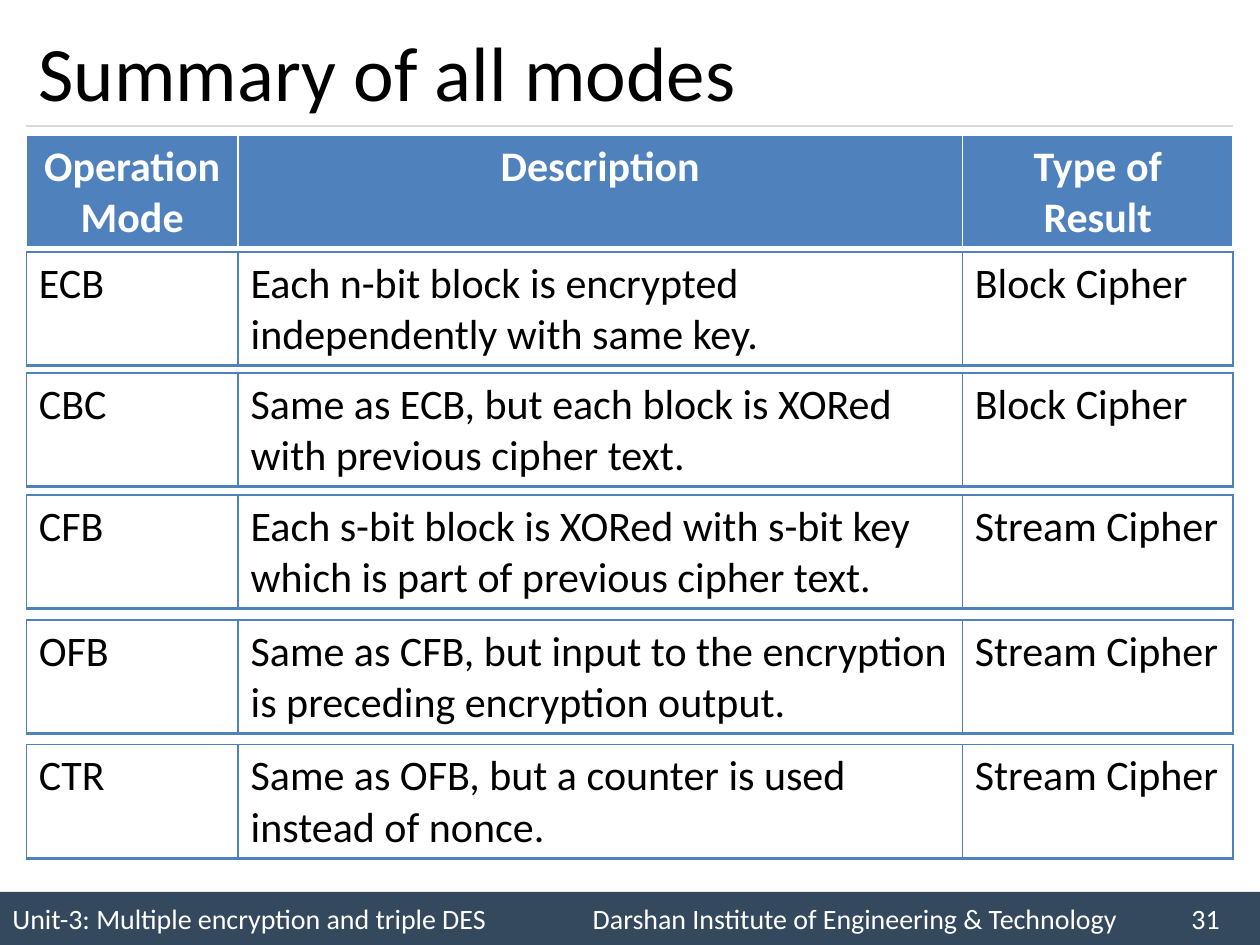
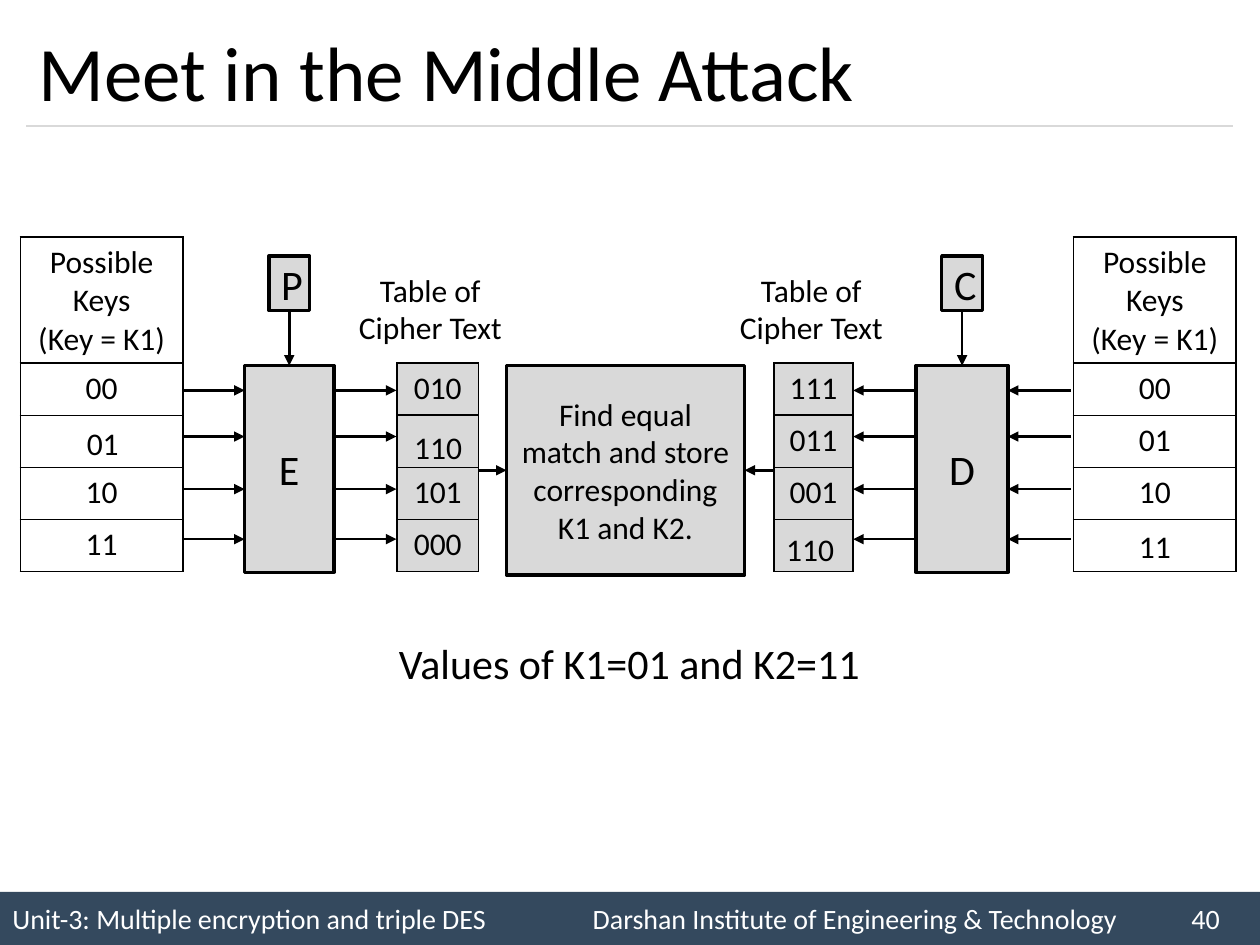
from lxml import etree
from pptx import Presentation
from pptx.dml.color import RGBColor
from pptx.enum import shapes, text
from pptx.oxml import ns
from pptx.util import Cm, Pt

WHITE = RGBColor(0xFF, 0xFF, 0xFF)
BLACK = RGBColor(0, 0, 0)
NAVY = RGBColor(0x34, 0x49, 0x5E)
BLUE = RGBColor(0x4F, 0x81, 0xBD)
GREY = RGBColor(0xD9, 0xD9, 0xD9)

LEFT = text.PP_ALIGN.LEFT
CENTER = text.PP_ALIGN.CENTER
MIDDLE = text.MSO_ANCHOR.MIDDLE
TOP = text.MSO_ANCHOR.TOP
RULE_LEFT, RULE_WIDTH = 0.53, 24.33


def add_xml(parent, tag, **attributes):
    return etree.SubElement(parent, ns.qn(tag), attributes)


def apply_format(target, values):
    for name, value in values.items():
        setattr(target, name, value)


class Deck:
    def __init__(self):
        self.presentation = Presentation()
        apply_format(self.presentation,
                     {"slide_width": Cm(25.4), "slide_height": Cm(19.05)})
        self.slide = None

    def start_slide(self, heading, number):
        self.slide = self.presentation.slides.add_slide(
            self.presentation.slide_layouts[6])
        self.footer(number)
        self.line((RULE_LEFT, 2.54), (RULE_LEFT + RULE_WIDTH, 2.54),
                  color=GREY, width=0.75, arrow=False)
        self.label(heading, (RULE_LEFT, 0.3, RULE_WIDTH, 2.24),
                   size=44, align=LEFT, anchor=MIDDLE)

    def set_words(self, frame, words, size=18, color=BLACK, bold=False,
                  align=CENTER, tabs=()):
        frame.text = words
        for paragraph in frame.paragraphs:
            if tabs:
                stops = add_xml(paragraph._p.get_or_add_pPr(), "a:tabLst")
                for stop in tabs:
                    add_xml(stops, "a:tab", pos=str(Cm(stop)), algn="l")
            paragraph.alignment = align
            apply_format(paragraph.font,
                         {"name": "Calibri", "size": Pt(size), "bold": bold})
            paragraph.font.color.rgb = color

    def label(self, words, place, size=18, align=CENTER, anchor=TOP, wrap=True):
        frame = self.slide.shapes.add_textbox(*map(Cm, place)).text_frame
        apply_format(frame, {"word_wrap": wrap, "vertical_anchor": anchor})
        self.set_words(frame, words, size, align=align)

    def box(self, words, place, fill=GREY, outlined=True, **style):
        box = self.slide.shapes.add_shape(
            shapes.MSO_SHAPE.RECTANGLE, *map(Cm, place))
        box.shadow.inherit = False
        box.fill.solid()
        box.fill.fore_color.rgb = fill
        if outlined:
            box.line.color.rgb = BLACK
            box.line.width = Pt(2)
        else:
            box.line.fill.background()
        apply_format(box.text_frame, {"word_wrap": True, "vertical_anchor": MIDDLE})
        self.set_words(box.text_frame, words, **style)
        return box

    def footer(self, number):
        parts = ("Unit-3: Multiple encryption and triple DES",
                 "Darshan Institute of Engineering & Technology", str(number))
        self.box("\t".join(parts), (0, 17.98, 25.4, 1.07), NAVY, False,
                 size=16, color=WHITE, align=LEFT, tabs=(11.7, 23.77))

    def line(self, start, end, color=BLACK, width=1.5, arrow=True,
             source=None, target=None):
        line = self.slide.shapes.add_connector(
            shapes.MSO_CONNECTOR.STRAIGHT, *map(Cm, start + end))
        line.line.color.rgb = color
        line.line.width = Pt(width)
        properties = line._element.spPr
        if arrow:
            add_xml(properties.find(ns.qn("a:ln")), "a:tailEnd", type="triangle")
        add_xml(properties, "a:effectLst")
        if source:
            line.begin_connect(*source)
        if target:
            line.end_connect(*target)

    def table(self, rows, corner, widths, heights, fill=None, border=BLACK,
              bottom=1, **style):
        table = self.slide.shapes.add_table(
            len(rows), len(widths), *map(Cm, corner + (sum(widths), sum(heights)))).table
        apply_format(table, {"first_row": False, "horz_banding": False})
        for column, width in zip(table.columns, widths):
            column.width = Cm(width)
        for row, height, words in zip(table.rows, heights, rows):
            row.height = Cm(height)
            for cell, content in zip(row.cells, words):
                self.borders(cell, border, bottom)
                if fill is None:
                    cell.fill.background()
                else:
                    cell.fill.solid()
                    cell.fill.fore_color.rgb = fill
                self.set_words(cell.text_frame, content, **style)

    def borders(self, cell, color, bottom):
        properties = cell._tc.get_or_add_tcPr()
        for side, width in (("L", 1), ("R", 1), ("T", 1), ("B", bottom)):
            edge = add_xml(properties, f"a:ln{side}", w=str(Pt(width)))
            add_xml(add_xml(edge, "a:solidFill"), "a:srgbClr", val=str(color))


def build_summary(deck):
    deck.start_slide("Summary of all modes", 31)
    widths, heights = (4.27, 14.6, 5.46), (2.29,)
    deck.table([("Operation\nMode", "Description", "Type of Result")],
               (RULE_LEFT, 2.72), widths, heights, BLUE, WHITE, 3,
               size=24, color=WHITE, bold=True)
    modes = (
        (5.08, "ECB", "Each n-bit block is encrypted independently with same key.",
         "Block Cipher"),
        (7.52, "CBC", "Same as ECB, but each block is XORed with previous cipher text.",
         "Block Cipher"),
        (9.98, "CFB", "Each s-bit block is XORed with s-bit key which is part of "
         "previous cipher text.", "Stream Cipher"),
        (12.5, "OFB", "Same as CFB, but input to the encryption is preceding "
         "encryption output.", "Stream Cipher"),
        (15.01, "CTR", "Same as OFB, but a counter is used instead of nonce.",
         "Stream Cipher"),
    )
    for top, *mode in modes:
        deck.table([mode], (RULE_LEFT, top), widths, heights, None, BLUE, 2,
                   size=24, align=LEFT)


def build_attack(deck):
    deck.start_slide("Meet in the Middle Attack", 40)
    block_top, row_height = 7.37, 1.05
    key_heading = "Possible Keys\n(Key = K1)"
    halves = (
        {"input": "P", "cipher": "E", "block": (4.93, 1.8),
         "keys": (0.41, ("00", "", "10", "11")),
         "results": (8, 1.65, ("010", "", "101", "000")),
         "flows": ((3.71, 4.93), (6.73, 7.99)), "caption": (6.96, 3.43)},
        {"input": "C", "cipher": "D", "block": (18.47, 1.85),
         "keys": (21.64, ("00", "01", "10", "")),
         "results": (15.6, 1.6, ("111", "011", "001", "")),
         "flows": ((21.59, 20.32), (18.47, 17.2)), "caption": (14.5, 3.71)},
    )
    for half in halves:
        left, width = half["block"]
        center = left + width / 2
        cipher = deck.box(half["cipher"], (left, block_top, width, 4.17), size=24)
        source = deck.box(half["input"], (center - 0.41, 5.16, 0.82, 1.1), size=24)
        deck.line((center, 6.26), (center, block_top),
                  source=(source, 2), target=(cipher, 0))
        for start, end in half["flows"]:
            for level in (7.87, 8.8, 9.86, 10.87):
                deck.line((start, level), (end, level))
        key_left, keys = half["keys"]
        deck.table([(entry,) for entry in (key_heading,) + keys], (key_left, 4.78),
                   (3.28,), (2.54,) + (row_height,) * 4, WHITE)
        result_left, result_width, results = half["results"]
        deck.table([(entry,) for entry in results], (result_left, 7.32),
                   (result_width,), (row_height,) * 4, GREY)
        caption_left, caption_width = half["caption"]
        deck.label("Table of Cipher Text", (caption_left, 5.33, caption_width, 1.8))

    match = deck.box("Find equal match and store corresponding K1 and K2.",
                     (10.21, block_top, 4.8, 4.22))
    match_middle = block_top + 2.11
    deck.line((9.65, match_middle), (10.21, match_middle), target=(match, 1))
    deck.line((15.6, match_middle), (15.01, match_middle), target=(match, 3))

    for words, left, top, width in (("110", 8.1, 8.51, 1.5), ("110", 15.6, 10.57, 1.63),
                                    ("01", 1.5, 8.43, 1.17), ("11", 22.71, 10.49, 1.17)):
        deck.label(words, (left, top, width, 1.02), align=LEFT, wrap=False)
    deck.label("Values of K1=01 and K2=11", (7.75, 12.73, 9.88, 1.27), 24, wrap=False)


def main():
    deck = Deck()
    build_summary(deck)
    build_attack(deck)
    deck.presentation.save("out.pptx")


if __name__ == "__main__":
    main()
